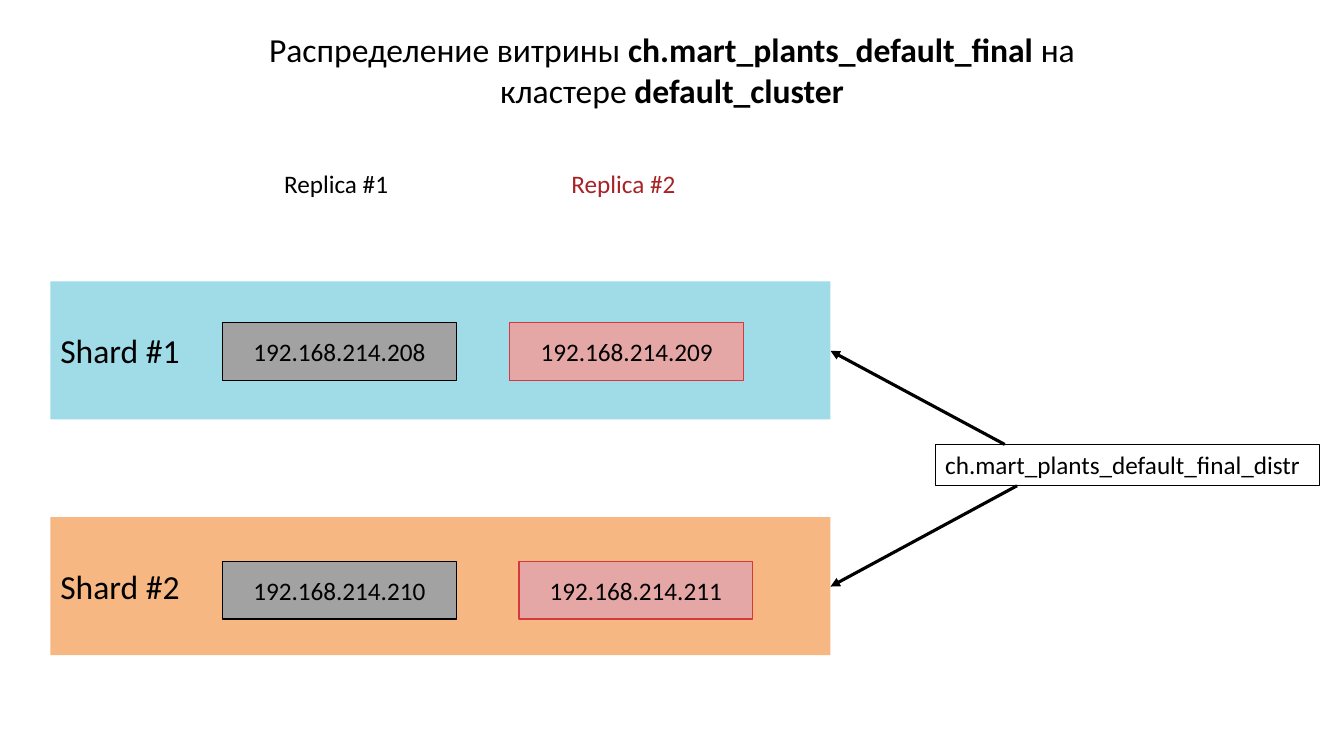
from lxml.etree import SubElement
from pptx import Presentation
from pptx.dml.color import RGBColor
from pptx.enum.shapes import MSO_CONNECTOR, MSO_SHAPE
from pptx.enum.text import MSO_ANCHOR, MSO_AUTO_SIZE, PP_ALIGN
from pptx.oxml.ns import qn
from pptx.util import Cm, Pt

BLACK = RGBColor(0x00, 0x00, 0x00)
WHITE = RGBColor(0xFF, 0xFF, 0xFF)
CYAN = RGBColor(0x40, 0xBA, 0xD2)
ORANGE = RGBColor(0xEE, 0x70, 0x08)
GRAY = RGBColor(0xA2, 0xA2, 0xA2)
PINK = RGBColor(0xE5, 0xA6, 0xA6)
RED = RGBColor(0xD5, 0x39, 0x3D)
DARK_RED = RGBColor(0xA7, 0x23, 0x27)

SHARD_LEFT, SHARD_WIDTH, SHARD_HEIGHT = 1.27, 19.66, 3.48
SHARD_RIGHT = SHARD_LEFT + SHARD_WIDTH


def write(shape, runs, size, color=BLACK, align=PP_ALIGN.LEFT, **frame_format):
    frame = shape.text_frame
    for name, value in {"word_wrap": True, **frame_format}.items():
        setattr(frame, name, value)
    paragraph = frame.paragraphs[0]
    paragraph.alignment = align
    for text, bold in runs:
        run = paragraph.add_run()
        run.text = text
        font_format = {"name": "Calibri", "size": Pt(size), "bold": bold}
        for name, value in font_format.items():
            setattr(run.font, name, value)
        run.font.color.rgb = color


def add_box(left, top, width, height, fill, line=None, line_width=0.75):
    box = slide.shapes.add_shape(
        MSO_SHAPE.RECTANGLE, Cm(left), Cm(top), Cm(width), Cm(height))
    box.shadow.inherit = False
    box.fill.solid()
    box.fill.fore_color.rgb = fill
    if line is None:
        box.line.fill.background()
    else:
        box.line.color.rgb = line
        box.line.width = Pt(line_width)
    return box


presentation = Presentation()
presentation.slide_width = Cm(33.87)
presentation.slide_height = Cm(19.05)
slide = presentation.slides.add_slide(presentation.slide_layouts[6])

shards = [
    ("Shard #1", 7.09, CYAN, 8.13,
     [("192.168.214.208", 5.61, GRAY, BLACK), ("192.168.214.209", 12.85, PINK, RED)]),
    ("Shard #2", 13.03, ORANGE, 14.15,
     [("192.168.214.210", 5.61, GRAY, BLACK), ("192.168.214.211", 13.08, PINK, RED)]),
]
for label, top, color, host_top, hosts in shards:
    shard = add_box(SHARD_LEFT, top, SHARD_WIDTH, SHARD_HEIGHT, color)
    shard_color = shard.fill._xPr.find(qn("a:solidFill"))[0]
    SubElement(shard_color, qn("a:alpha"), val="50000")
    write(shard, [(label, False)], 24, vertical_anchor=MSO_ANCHOR.MIDDLE)
    for address, left, fill, outline in hosts:
        host = add_box(left, host_top, 5.89, 1.45, fill, outline)
        write(host, [(address, False)], 18, align=PP_ALIGN.CENTER,
              vertical_anchor=MSO_ANCHOR.MIDDLE)

for label, left, color in [("Replica #1", 6.91, BLACK), ("Replica #2", 14.15, DARK_RED)]:
    replica = slide.shapes.add_textbox(Cm(left), Cm(4.11), Cm(3.33), Cm(1.02))
    write(replica, [(label, False)], 18, color, auto_size=MSO_AUTO_SIZE.SHAPE_TO_FIT_TEXT)

title = slide.shapes.add_textbox(Cm(5.11), Cm(0.61), Cm(23.65), Cm(2.31))
title_runs = [
    ("Распределение витрины ", False),
    ("ch.mart_plants_default_final ", True),
    ("на кластере ", False),
    ("default_cluster", True),
]
write(title, title_runs, 24, align=PP_ALIGN.CENTER,
      auto_size=MSO_AUTO_SIZE.SHAPE_TO_FIT_TEXT)

distributed = add_box(23.57, 11.2, 9.68, 1.03, WHITE, BLACK, 0.85)
write(distributed, [("ch.mart_plants_default_final_distr", False)], 18,
      word_wrap=False, vertical_anchor=MSO_ANCHOR.TOP,
      auto_size=MSO_AUTO_SIZE.SHAPE_TO_FIT_TEXT)

for start_x, start_y, end_y in [(25.32, 11.2, 8.84), (25.63, 12.24, 14.78)]:
    arrow = slide.shapes.add_connector(
        MSO_CONNECTOR.STRAIGHT, Cm(start_x), Cm(start_y), Cm(SHARD_RIGHT), Cm(end_y))
    arrow.line.color.rgb = BLACK
    arrow.line.width = Pt(2.25)
    SubElement(arrow.line._get_or_add_ln(), qn("a:tailEnd"), type="triangle")
    SubElement(arrow._element.spPr, qn("a:effectLst"))

presentation.save("out.pptx")
